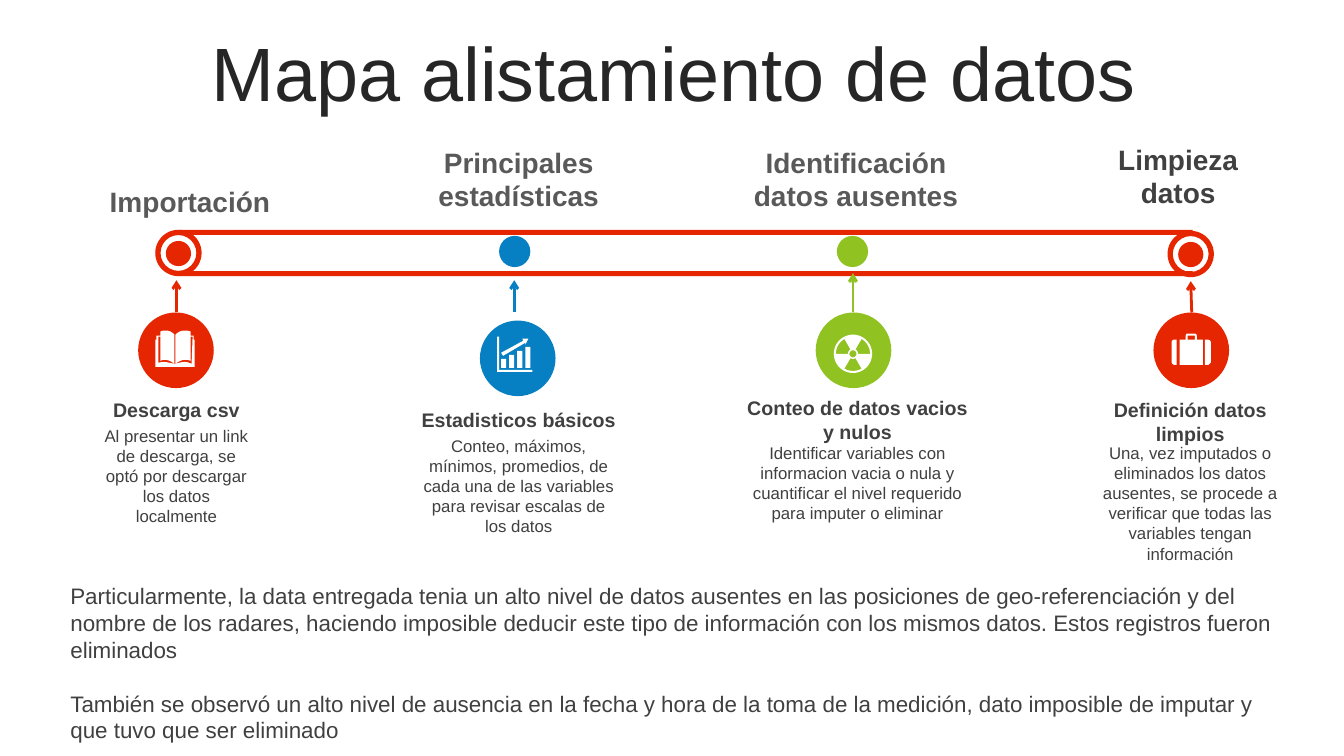
import math
from dataclasses import dataclass

from lxml import etree
from pptx import Presentation
from pptx.dml.color import RGBColor
from pptx.enum.shapes import MSO_CONNECTOR, MSO_SHAPE
from pptx.enum.text import MSO_ANCHOR, MSO_AUTO_SIZE, PP_ALIGN
from pptx.oxml.ns import qn
from pptx.util import Inches, Pt

OVAL, RING, BAR = MSO_SHAPE.OVAL, MSO_SHAPE.DONUT, MSO_SHAPE.RECTANGLE
STRAIGHT = MSO_CONNECTOR.STRAIGHT
TOP, MIDDLE = MSO_ANCHOR.TOP, MSO_ANCHOR.MIDDLE
LEFT, CENTER = PP_ALIGN.LEFT, PP_ALIGN.CENTER
FIT, FIXED = MSO_AUTO_SIZE.SHAPE_TO_FIT_TEXT, MSO_AUTO_SIZE.NONE

COLORS = {"red": "E62601", "blue": "0680C3", "green": "90C221", "white": "FFFFFF",
          "title": "262626", "dark": "404040", "gray": "595959"}

Point = tuple[float, float]
Contour = list[Point]
Box = tuple[float, float, float, float]


@dataclass
class Stage:
    color: str
    heading: str
    heading_box: Box
    heading_color: str
    subtitle: str
    subtitle_box: Box
    detail: str
    detail_box: Box
    badge: Point
    arrow_start: Point
    arrow_end: Point
    icon: list[Contour]


def rgb(color: str) -> RGBColor:
    return RGBColor.from_string(COLORS[color])


def add_text(slide, box: Box, *paragraphs: str, size: float = 12, color: str = "dark",
             bold: bool = False, align=CENTER, anchor=TOP, fit=FIT,
             line_spacing: float | None = None, before: float = 0, gap: float = 0) -> None:
    frame = slide.shapes.add_textbox(*map(Inches, box)).text_frame
    frame.word_wrap = True
    frame.auto_size = fit
    frame.vertical_anchor = anchor
    for index, text in enumerate(paragraphs):
        paragraph = frame.add_paragraph() if index else frame.paragraphs[0]
        paragraph.alignment = align
        paragraph.line_spacing = line_spacing
        paragraph.space_before = Pt(gap if index else before)
        run = paragraph.add_run()
        run.text = text
        run.font.name = "Arial"
        run.font.size = Pt(size)
        run.font.bold = bold
        run.font.color.rgb = rgb(color)


def paint(shape, color: str) -> None:
    shape.shadow.inherit = False
    shape.fill.solid()
    shape.fill.fore_color.rgb = rgb(color)
    shape.line.fill.background()


def add_block(slide, kind, box: Box, color: str):
    shape = slide.shapes.add_shape(kind, *map(Inches, box))
    paint(shape, color)
    return shape


def add_terminal(slide, left: float, top: float) -> None:
    ring = add_block(slide, RING, (left, top, 0.46, 0.46), "red")
    ring.adjustments[0] = 0.114
    add_block(slide, OVAL, (left + 0.105, top + 0.11, 0.25, 0.25), "red")


def add_arrow(slide, start: Point, end: Point, color: str) -> None:
    arrow = slide.shapes.add_connector(STRAIGHT, *map(Inches, start + end))
    arrow.line.color.rgb = rgb(color)
    arrow.line.width = Pt(2)
    etree.SubElement(arrow.line._get_or_add_ln(), qn("a:tailEnd"), type="arrow")
    etree.SubElement(arrow._element.spPr, qn("a:effectLst"))


def add_icon(slide, contours: list[Contour]) -> None:
    outlines = [[(Inches(x), Inches(y)) for x, y in contour] for contour in contours]
    builder = slide.shapes.build_freeform(*outlines[0][0], scale=1.0)
    for index, outline in enumerate(outlines):
        if index:
            builder.move_to(*outline[0])
        builder.add_line_segments(outline[1:], close=True)
    paint(builder.convert_to_shape(), "white")


def flatten(steps: list[tuple[float, ...]]) -> Contour:
    points: Contour = []
    for step in steps:
        if len(step) == 2:
            points.append(step)
            continue
        x0, y0 = points[-1]
        x1, y1, x2, y2, x3, y3 = step
        for t in (k / 6 for k in range(1, 7)):
            a, b, c, d = (1 - t) ** 3, 3 * t * (1 - t) ** 2, 3 * t * t * (1 - t), t ** 3
            points.append((a * x0 + b * x1 + c * x2 + d * x3,
                           a * y0 + b * y1 + c * y2 + d * y3))
    return points


def rectangle(left: float, top: float, right: float, bottom: float) -> Contour:
    return [(left, top), (right, top), (right, bottom), (left, bottom)]


def arc(center: Point, radius: float, start: int, end: int, step: int) -> Contour:
    return [(center[0] + radius * math.cos(math.radians(angle)),
             center[1] + radius * math.sin(math.radians(angle)))
            for angle in range(start, end + 1, step)]


def radiation(center: Point) -> list[Contour]:
    blades = [arc(center, 0.17, start, start + 60, 6)
              + arc(center, 0.05, start, start + 60, 6)[::-1] for start in (60, 180, 300)]
    return [arc(center, 0.19, 0, 354, 6), arc(center, 0.035, 0, 350, 10), *blades]


BOOK = [flatten([
    (1.73, 3.61), (1.73, 3.61, 1.74, 3.62, 1.74, 3.61), (1.81, 3.59, 1.84, 3.58, 1.9, 3.61),
    (1.91, 3.34), (1.89, 3.34), (1.89, 3.58), (1.84, 3.56, 1.79, 3.57, 1.74, 3.61),
    (1.74, 3.32), (1.77, 3.29, 1.8, 3.28, 1.83, 3.28), (1.85, 3.28, 1.87, 3.28, 1.89, 3.29),
    (1.89, 3.33), (1.92, 3.33), (1.92, 3.37), (1.93, 3.37), (1.93, 3.64), (1.54, 3.64),
    (1.54, 3.37), (1.55, 3.37), (1.55, 3.33), (1.59, 3.33), (1.59, 3.29),
    (1.61, 3.28, 1.63, 3.28, 1.64, 3.28), (1.68, 3.28, 1.7, 3.29, 1.73, 3.32), (1.73, 3.61),
    (1.68, 3.57, 1.63, 3.56, 1.59, 3.58), (1.59, 3.34), (1.57, 3.34), (1.57, 3.6),
    (1.63, 3.58, 1.67, 3.6, 1.73, 3.61)])]

GROWTH = [rectangle(4.97 + 0.08 * k, 3.56 - 0.04 * k, 5.02 + 0.08 * k, 3.65)
          for k in range(4)] + [
    [(5.18, 3.36), (5.24, 3.36), (5.21, 3.42), (5.21, 3.4), (4.99, 3.53), (4.97, 3.5),
     (5.19, 3.38)],
    [(4.93, 3.34), (4.95, 3.34), (4.95, 3.67), (5.28, 3.67), (5.28, 3.69), (4.93, 3.69)]]

BRIEFCASE = [
    flatten([(11.95, 3.37), (11.98, 3.37), (11.99, 3.37, 12.01, 3.38, 12.01, 3.4),
             (12.01, 3.59), (12.01, 3.6, 11.99, 3.62, 11.98, 3.62), (11.95, 3.62)]),
    flatten([(11.67, 3.37), (11.67, 3.62), (11.65, 3.62),
             (11.63, 3.62, 11.62, 3.6, 11.62, 3.59), (11.62, 3.4),
             (11.62, 3.38, 11.63, 3.37, 11.65, 3.37)]),
    flatten([(11.77, 3.31), (11.85, 3.31), (11.86, 3.31, 11.87, 3.32, 11.87, 3.33),
             (11.87, 3.37), (11.93, 3.37), (11.93, 3.62), (11.7, 3.62), (11.7, 3.37),
             (11.76, 3.37), (11.76, 3.33), (11.76, 3.32, 11.77, 3.31, 11.77, 3.31)]),
    rectangle(11.78, 3.33, 11.85, 3.37)]

STAGES = [
    Stage("red", "Importación", (0.9, 1.78, 1.97, 0.44), "gray",
          "Descarga csv", (0.9, 3.89, 1.7, 0.34),
          "Al presentar un link de descarga, se optó por descargar los datos localmente",
          (0.9, 4.17, 1.7, 1.11), (1.37, 3.1), (1.75, 3.1), (1.75, 2.78), BOOK),
    Stage("blue", "Principales estadísticas", (4.18, 1.39, 1.93, 0.77), "gray",
          "Estadisticos básicos", (4.07, 3.88, 2.15, 0.57),
          "Conteo, máximos, mínimos, promedios, de cada una de las variables para revisar "
          "escalas de los datos",
          (4.07, 4.27, 2.15, 1.31), (4.76, 3.18), (5.1, 3.1), (5.1, 2.78), GROWTH),
    Stage("green", "Identificación datos ausentes", (7.3, 1.39, 2.38, 0.77), "gray",
          "Conteo de datos vacios y nulos", (7.3, 3.88, 2.41, 0.57),
          "Identificar variables con informacion vacia o nula y cuantificar el nivel "
          "requerido para imputer o eliminar",
          (7.3, 4.34, 2.41, 0.91), (8.09, 3.1), (8.46, 3.1), (8.46, 2.71),
          radiation((8.46, 3.51))),
    Stage("red", "Limpieza datos", (10.74, 1.36, 1.89, 0.77), "dark",
          "Definición datos limpios", (10.73, 3.9, 2.15, 0.57),
          "Una, vez imputados o eliminados los datos ausentes, se procede a verificar que "
          "todas las variables tengan información",
          (10.73, 4.34, 2.15, 1.31), (11.44, 3.1), (11.82, 3.1), (11.81, 2.79), BRIEFCASE),
]

CONCLUSIONS = (
    "Particularmente, la data entregada tenia un alto nivel de datos ausentes en las "
    "posiciones de geo-referenciación y del nombre de los radares, haciendo imposible "
    "deducir este tipo de información con los mismos datos. Estos registros fueron eliminados",
    "También se observó un alto nivel de ausencia en la fecha y hora de la toma de la "
    "medición, dato imposible de imputar y que tuvo que ser eliminado")


def main() -> None:
    deck = Presentation()
    deck.slide_width, deck.slide_height = Inches(13.33), Inches(7.5)
    slide = deck.slides.add_slide(deck.slide_layouts[6])
    add_text(slide, (0.35, 0.37, 12.66, 0.79), "Mapa alistamiento de datos", size=54,
             color="title", anchor=MIDDLE, fit=FIXED, line_spacing=0.9, before=10)
    add_terminal(slide, 1.54, 2.28)
    for rail_top in (2.28, 2.69):
        add_block(slide, BAR, (1.78, rail_top, 10.05, 0.05), "red")
    add_terminal(slide, 11.58, 2.29)
    for left, color in ((4.95, "blue"), (8.3, "green")):
        add_block(slide, OVAL, (left, 2.34, 0.31, 0.31), color)
    for stage in STAGES:
        add_text(slide, stage.heading_box, stage.heading, size=20, bold=True,
                 color=stage.heading_color, anchor=MIDDLE)
        add_block(slide, OVAL, (*stage.badge, 0.75, 0.75), stage.color)
        add_icon(slide, stage.icon)
        add_arrow(slide, stage.arrow_start, stage.arrow_end, stage.color)
        add_text(slide, stage.subtitle_box, stage.subtitle, size=14, bold=True, anchor=MIDDLE)
        add_text(slide, stage.detail_box, stage.detail)
    add_text(slide, (0.6, 5.73, 12.14, 1.72), *CONCLUSIONS, size=16, align=LEFT, gap=19)
    deck.save("out.pptx")


if __name__ == "__main__":
    main()
